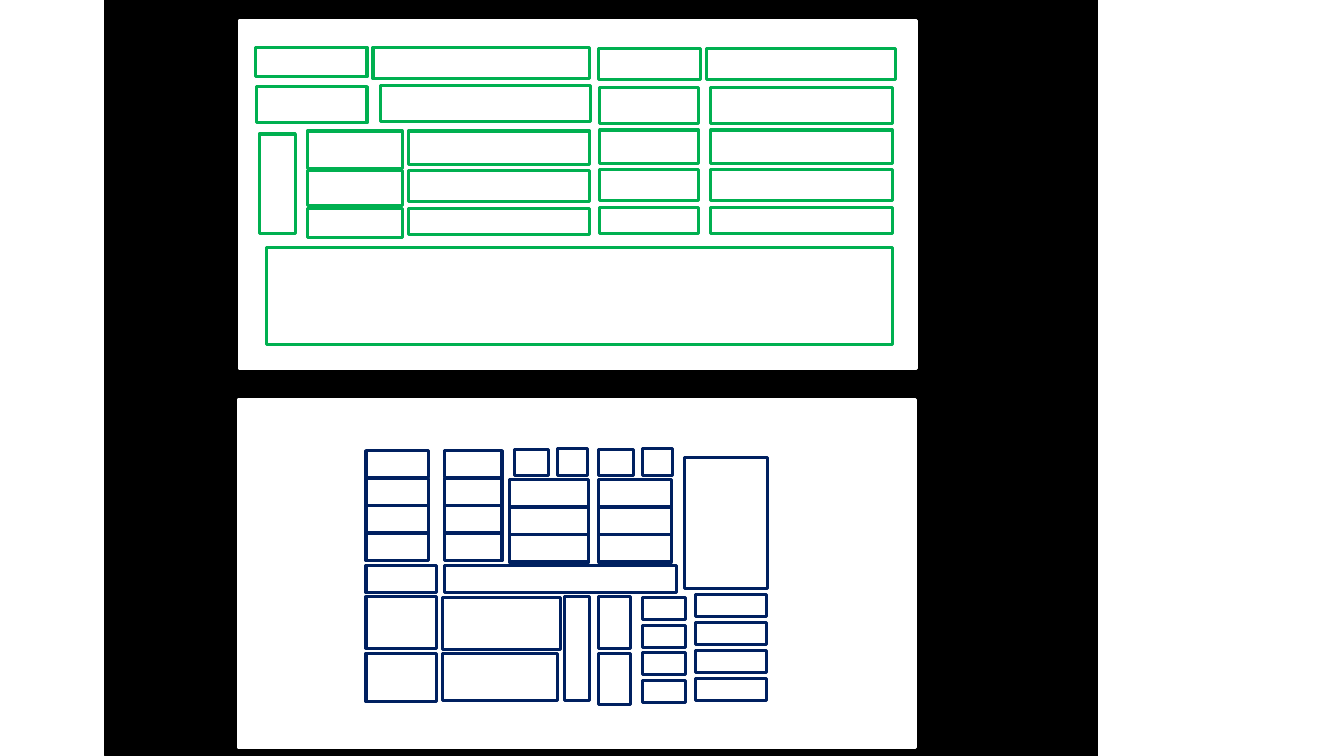
"""Draw two white form layouts, outlined in green and navy, on a black field."""
from pptx import Presentation
from pptx.dml.color import RGBColor as Rgb
from pptx.enum.shapes import MSO_SHAPE as Kind
from pptx.util import Inches, Pt


def run(top, high, count, pitch):
    """Return evenly spaced rows."""
    return [(top + i * pitch, high) for i in range(count)]


THEME = {"back": "000000", "page": "FFFFFF", "form": "00B050",
         "card": "002060", "line": 2.25}
UNIT = 0.01

HEAD = [(48, 31)]
BODY = [(87, 36), (129, 33), (168, 31), (206, 26)]
FORM = [
    (253, 111, [(47, 29)]),
    (254, 110, [(86, 36)]),
    (257, 36, [(133, 99)]),
    (305, 94, [(130, 37), (169, 35), (207, 29)]),
    (370, 215, [(47, 31)]),
    (377, 209, [(85, 36)]),
    (405, 180, [(130, 33), (169, 31), (207, 26)]),
    (594, 101, HEAD),
    (595, 98, BODY),
    (701, 187, HEAD),
    (705, 180, BODY),
    (264, 621, [(246, 96)]),
]

FOUR = run(447, 27, 4, 27.4)
THREE = run(476, 27, 3, 27.3)
CARD = [
    (363, 62, FOUR),
    (441, 57, FOUR),
    (363, 70, [(561, 27), (592, 51), (648, 48)]),
    (441, 230, [(561, 27)]),
    (439, 117, [(593, 51)]),
    (439, 114, [(648, 47)]),
    (560, 25, [(592, 103)]),
    (594, 31, [(592, 51), (648, 51)]),
    (637, 43, run(593, 22, 4, 27.3)),
    (690, 70, run(590, 22, 4, 27.7)),
    (679, 82, [(454, 130)]),
    (505, 79, THREE),
    (594, 72, THREE),
    (510, 34, [(446, 26)]),
    (553, 30, [(445, 27)]),
    (594, 34, [(446, 26)]),
    (637, 30, [(445, 27)]),
]

LAYERS = [
    ("back", True, [(105, 982, [(0, 750)])]),
    ("page", True, [(237, 671, [(396, 346)]), (238, 671, [(20, 346)])]),
    ("card", False, CARD),
    ("form", False, FORM),
]


def draw(slide, tone, solid, stacks):
    """Draw each stack as a column of boxes."""
    color = Rgb.from_string(THEME[tone])
    for left, wide, rows in stacks:
        for top, high in rows:
            place = [Inches(n * UNIT) for n in (left, top, wide, high)]
            box = slide.shapes.add_shape(Kind.RECTANGLE, *place)
            box.shadow.inherit = False
            if solid:
                box.fill.solid()
                box.fill.fore_color.rgb = color
            else:
                box.fill.background()
            box.line.color.rgb = color
            box.line.width = Pt(THEME["line"])


def main():
    """Build and save the slide."""
    deck = Presentation()
    deck.slide_width, deck.slide_height = Inches(13.33), Inches(7.5)
    slide = deck.slides.add_slide(deck.slide_layouts[6])
    for layer in LAYERS:
        draw(slide, *layer)
    deck.save("out.pptx")


if __name__ == "__main__":
    main()
